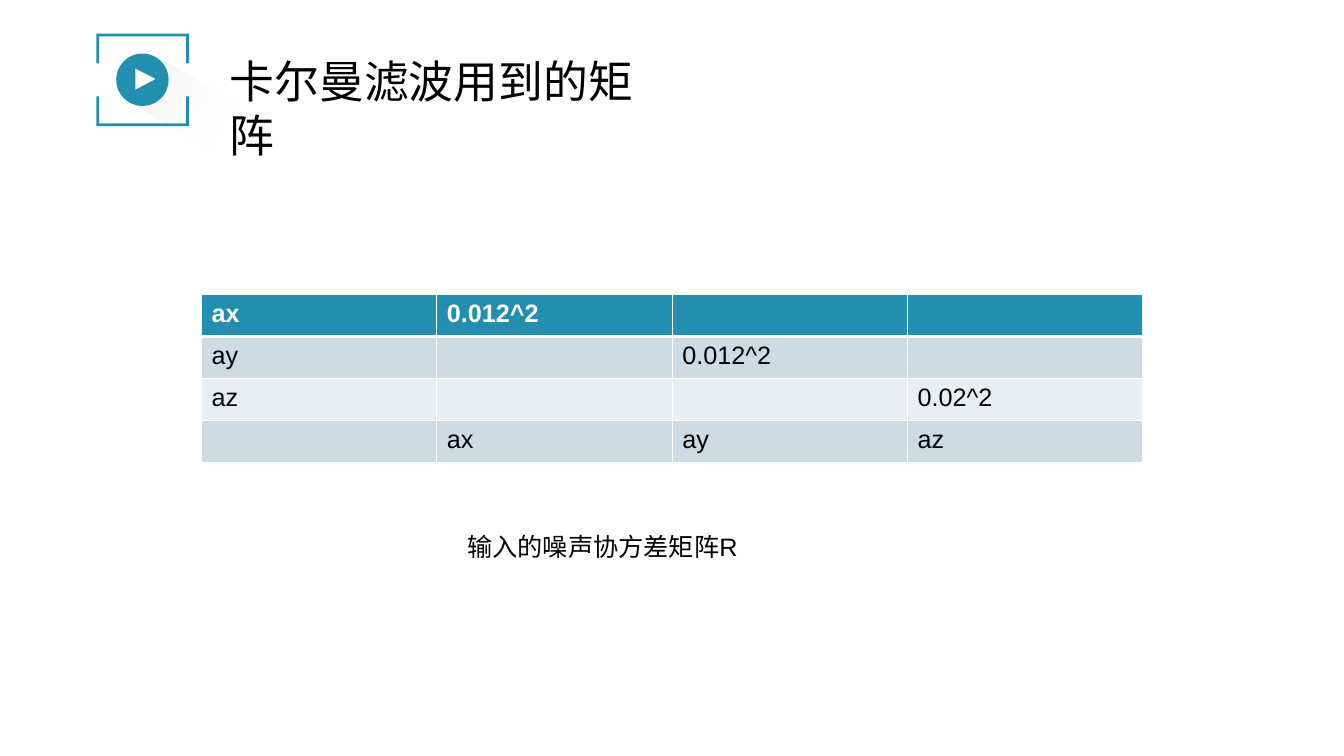
from dataclasses import dataclass

from lxml import etree
from pptx import Presentation
from pptx.dml.color import RGBColor
from pptx.enum.shapes import MSO_SHAPE
from pptx.oxml import parse_xml
from pptx.util import Cm, Pt

OVAL = MSO_SHAPE.OVAL
DRAWING = "http://schemas.openxmlformats.org/drawingml/2006/main"


@dataclass(frozen=True)
class Theme:
    font: str = "Arial"
    accent: str = "228EB0"
    ink: str = "000000"
    paper: str = "FFFFFF"
    glow: str = "D9D9D9"
    bands: tuple = ("CDDBE4", "E8EEF2")
    title_size: int = 32
    body_size: int = 18
    thin: int = 1
    thick: int = 3


class MatrixPage:
    def __init__(self, deck, theme):
        self.theme = theme
        self.page = deck.slides.add_slide(deck.slide_layouts[6])

    def add_span(self, para, text, size, color, bold=False):
        span = para.add_run()
        span.text = text
        formats = {"name": self.theme.font, "size": Pt(size), "bold": bold}
        for name, value in formats.items():
            setattr(span.font, name, value)
        span.font.color.rgb = RGBColor.from_string(color)

    def label(self, text, left, top, width, height, size):
        box = self.page.shapes.add_textbox(Cm(left), Cm(top), Cm(width), Cm(height))
        box.text_frame.word_wrap = True
        self.add_span(box.text_frame.paragraphs[0], text, size, self.theme.ink)

    def paint(self, shape, color):
        shape.shadow.inherit = False
        shape.fill.solid()
        shape.fill.fore_color.rgb = RGBColor.from_string(color)
        shape.line.fill.background()
        return shape

    def disc(self, left, top, size, color):
        box = self.page.shapes.add_shape(OVAL, Cm(left), Cm(top), Cm(size), Cm(size))
        self.paint(box, color)

    def outline(self, contours, color):
        builder = None
        for contour in contours:
            start, *rest = [(Cm(x), Cm(y)) for x, y in contour]
            if builder is None:
                builder = self.page.shapes.build_freeform(*start, scale=1.0)
            else:
                builder.move_to(*start)
            builder.add_line_segments(rest, close=True)
        return self.paint(builder.convert_to_shape(), color)

    def fade(self, shape, stops, angle):
        marks = "".join(
            f'<a:gs pos="{place * 1000}"><a:srgbClr val="{color}">'
            f'<a:alpha val="{opacity * 1000}"/></a:srgbClr></a:gs>'
            for place, color, opacity in stops)
        gradient = parse_xml(
            f'<a:gradFill xmlns:a="{DRAWING}" rotWithShape="1"><a:gsLst>{marks}</a:gsLst>'
            f'<a:lin ang="{angle * 60000}" scaled="0"/></a:gradFill>')
        solid = shape.element.spPr.find(f"{{{DRAWING}}}solidFill")
        solid.getparent().replace(solid, gradient)

    def borders(self, cell, widths):
        properties = cell._tc.get_or_add_tcPr()
        for index, (side, width) in enumerate(widths.items()):
            line = etree.Element(f"{{{DRAWING}}}ln{side}", w=str(Pt(width)))
            fill = etree.SubElement(line, f"{{{DRAWING}}}solidFill")
            etree.SubElement(fill, f"{{{DRAWING}}}srgbClr", val=self.theme.paper)
            properties.insert(index, line)

    def table(self, rows, left, top, column_width, row_height):
        theme = self.theme
        columns = len(rows[0])
        grid = self.page.shapes.add_table(
            len(rows), columns, Cm(left), Cm(top),
            Cm(column_width * columns), Cm(row_height * len(rows))).table
        for r, row in enumerate(rows):
            header = r == 0
            for c, text in enumerate(row):
                cell = grid.cell(r, c)
                cell.fill.solid()
                fill = theme.accent if header else theme.bands[(r - 1) % 2]
                cell.fill.fore_color.rgb = RGBColor.from_string(fill)
                self.borders(cell, {
                    "L": theme.thin, "R": theme.thin,
                    "T": theme.thick if r == 1 else theme.thin,
                    "B": theme.thick if header else theme.thin})
                if text:
                    self.add_span(cell.text_frame.paragraphs[0], text, theme.body_size,
                                  theme.paper if header else theme.ink, header)


def bracket(left, edge, size, arm, weight, inward):
    """Open bracket on a horizontal edge; inward is 1 for down and -1 for up."""
    right, tip, bar = left + size, edge + inward * arm, edge + inward * weight
    return [(left, edge), (right, edge), (right, tip), (right - weight, tip),
            (right - weight, bar), (left + weight, bar), (left + weight, tip), (left, tip)]


def main():
    theme = Theme()
    deck = Presentation()
    deck.slide_width, deck.slide_height = Cm(33.87), Cm(19.05)
    page = MatrixPage(deck, theme)

    # Play icon: long shadow, frame, disc and triangle
    beam = page.outline([[(3.23, 2.54), (3.86, 2.16), (3.91, 1.42),
                          (5.89, 2.57), (5.23, 3.68)]], theme.glow)
    page.fade(beam, [(0, theme.glow, 50), (85, theme.paper, 0), (100, theme.paper, 0)], 30)
    left, top, size = 2.43, 0.85, 2.33
    page.outline([bracket(left, top, size, 0.75, 0.07, 1),
                  bracket(left, top + size, size, 0.75, 0.07, -1)], theme.accent)
    page.disc(2.93, 1.35, 1.32, theme.accent)
    page.outline([[(3.41, 1.73), (3.41, 2.26), (3.92, 1.99)]], theme.paper)

    # Title and caption
    page.label("卡尔曼滤波用到的矩阵", 5.54, 1.24, 11.7, 1.63, theme.title_size)
    page.label("输入的噪声协方差矩阵R", 11.53, 13.26, 8.43, 1.02, theme.body_size)

    # Noise covariance matrix: variances on the diagonal, axes at left and bottom
    axes = ["ax", "ay", "az"]
    variances = ["0.012^2", "0.012^2", "0.02^2"]
    rows = [[axis] + [variances[r] if r == c else "" for c in range(len(axes))]
            for r, axis in enumerate(axes)]
    page.table(rows + [[""] + axes], 5.08, 7.42, 5.93, 1.06)

    deck.save("out.pptx")


if __name__ == "__main__":
    main()
